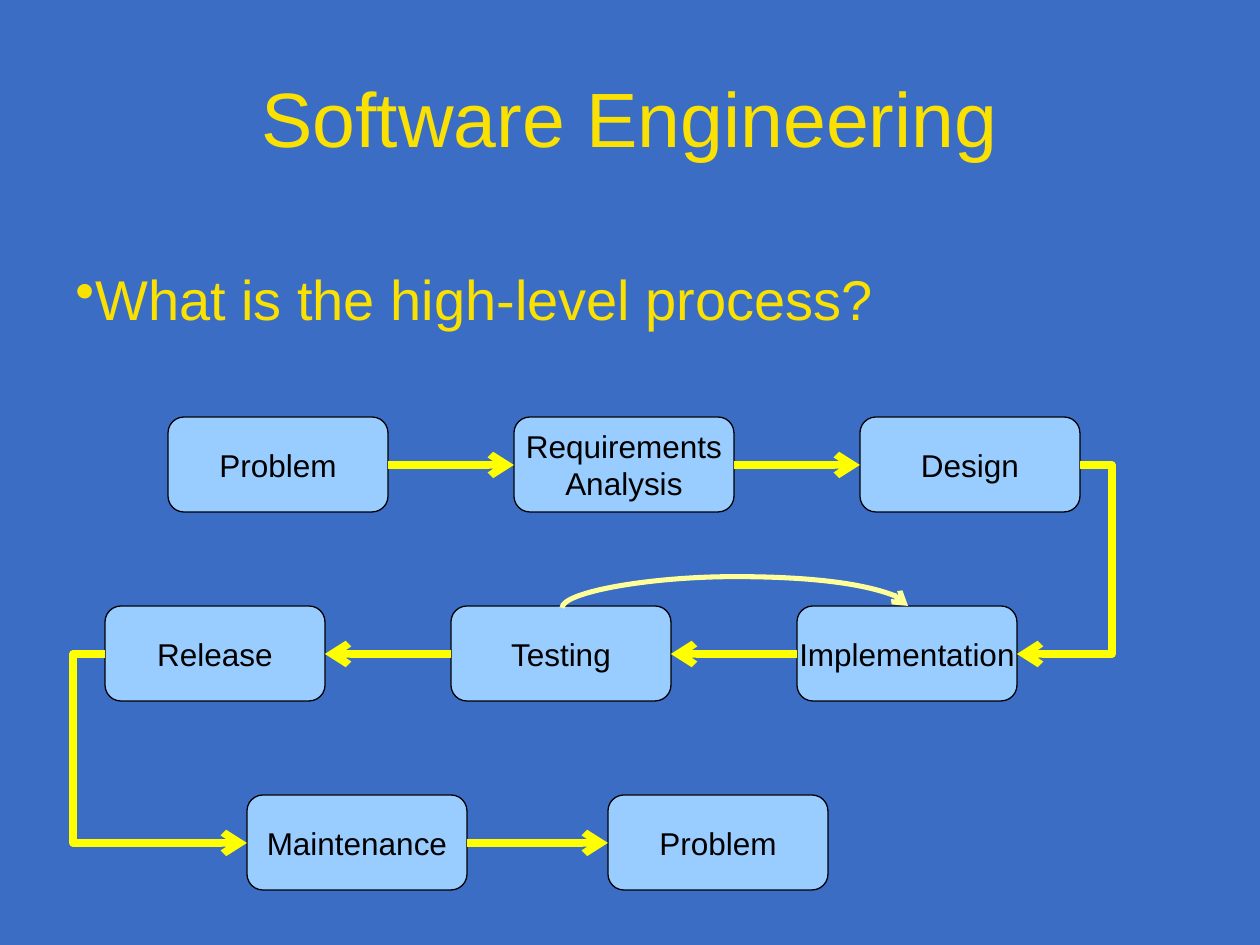
from pptx import Presentation
from pptx.dml.color import RGBColor
from pptx.enum.shapes import MSO_CONNECTOR, MSO_SHAPE
from pptx.enum.text import MSO_ANCHOR, PP_ALIGN
from pptx.oxml.ns import qn
from pptx.util import Pt
from lxml.etree import SubElement

SCALE = 914400 // 126
HUES = {"back": "3C6DC5", "text": "FAE101", "box": "99CCFF",
        "ink": "000000", "flow": "FFFF00", "loop": "FFFF99"}
WIDE, HIGH, STEP, TOP = 220, 95, 189, 417
BOXES = [
    (0, 168, "Problem"), (0, 514, "Requirements\nAnalysis"), (0, 860, "Design"),
    (1, 797, "Implementation"), (1, 451, "Testing"), (1, 105, "Release"),
    (2, 247, "Maintenance"), (2, 608, "Problem"),
]
TURN = 32


def px(*nums):
    return [round(num * SCALE) for num in nums]


def hue(name):
    return RGBColor.from_string(HUES[name])


def apply(item, style):
    for key, value in style.items():
        setattr(item, key, value)


def write(frame, text, size, color, body, para):
    frame.text = text
    apply(frame, body)
    for line in frame.paragraphs:
        apply(line, para)
        apply(line.font, {"size": Pt(size), "name": "Arial"})
        line.font.color.rgb = hue(color)


def add_text(slide, area, text, size, body, para):
    frame = slide.shapes.add_textbox(*px(*area)).text_frame
    write(frame, text, size, "text", {"word_wrap": True, **body}, para)
    return frame


def add_bullet(line):
    props = line._p.get_or_add_pPr()
    props.set("marL", "0")
    props.set("indent", "0")
    SubElement(props, qn("a:buChar")).set("char", "•")


def add_box(slide, row, left, text):
    area = px(left, TOP + row * STEP, WIDE, HIGH)
    box = slide.shapes.add_shape(MSO_SHAPE.ROUNDED_RECTANGLE, *area)
    box.shadow.inherit = False
    box.fill.solid()
    box.fill.fore_color.rgb = hue("box")
    box.line.color.rgb = hue("ink")
    box.line.width = 0
    write(box.text_frame, text, 18, "ink",
          {"word_wrap": False, "vertical_anchor": MSO_ANCHOR.MIDDLE},
          {"alignment": PP_ALIGN.CENTER})


def add_arrow(slide, kind, ends, color, width, bend=0.5):
    arrow = slide.shapes.add_connector(kind, *px(*ends))
    arrow.line.color.rgb = hue(color)
    arrow.line.width = Pt(width)
    props = arrow.element.spPr
    SubElement(props.find(qn("a:ln")), qn("a:tailEnd")).set("type", "arrow")
    SubElement(props, qn("a:effectLst"))
    guide = SubElement(props.find(qn("a:prstGeom")).find(qn("a:avLst")), qn("a:gd"))
    guide.set("name", "adj1")
    guide.set("fmla", f"val {round(bend * 100000)}")
    return arrow


def add_flow(slide, start, end):
    row, left, _ = start
    goal, far, _ = end
    right = row % 2 == 0
    x1 = left + WIDE if right else left
    x2 = far + WIDE if goal % 2 else far
    y1, y2 = (TOP + 48 + line * STEP for line in (row, goal))
    bend = 0.5 if row == goal else -TURN / abs(x2 - x1)
    add_arrow(slide, MSO_CONNECTOR.ELBOW, (x1, y1, x2, y2), "flow", 4.31, bend)


def add_loop(slide):
    loop = add_arrow(slide, MSO_CONNECTOR.CURVE, (736, 780, 734, 434),
                     "loop", 2.89, 15.75)
    loop.element.spPr.find(qn("a:xfrm")).set("rot", "5400000")


def main():
    deck = Presentation()
    deck.slide_width, deck.slide_height = px(1260, 945)
    slide = deck.slides.add_slide(deck.slide_layouts[6])
    slide.background.fill.solid()
    slide.background.fill.fore_color.rgb = hue("back")
    add_text(slide, (63, 38, 1134, 158), "Software Engineering", 44,
             {"vertical_anchor": MSO_ANCHOR.MIDDLE}, {"alignment": PP_ALIGN.CENTER})
    query = add_text(slide, (63, 258, 1134, 88), "What is the high-level process?",
                     32, {}, {"space_before": Pt(8)})
    add_bullet(query.paragraphs[0])
    for box in BOXES:
        add_box(slide, *box)
    for start, end in zip(BOXES, BOXES[1:]):
        add_flow(slide, start, end)
    add_loop(slide)
    deck.save("out.pptx")


main()
